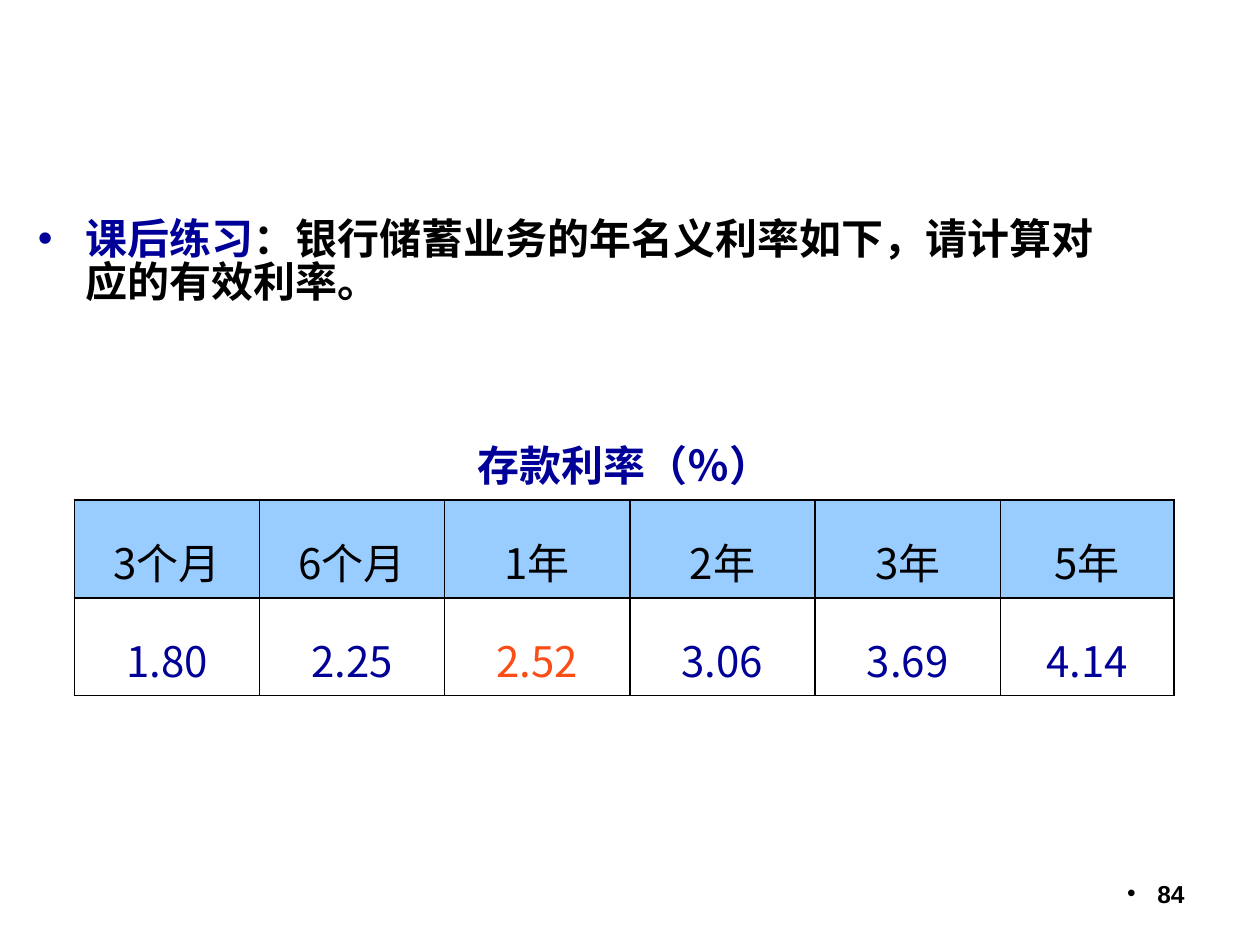
import pptx
import pptx.dml.color
import pptx.enum.text
import pptx.oxml.ns
import pptx.util
from lxml import etree

PX = 9144  # 100 px to the inch
LATIN, CHINESE = "Arial", "Noto Sans CJK SC"
NAVY, BLACK, ORANGE, SKY = "000099", "000000", "FC4D16", "99CCFF"
ALIGN = pptx.enum.text.PP_ALIGN
MIDDLE = pptx.enum.text.MSO_ANCHOR.MIDDLE


def emu(px):
    return pptx.util.Emu(px * PX)


def color(hex_text):
    return pptx.dml.color.RGBColor.from_string(hex_text)


def add_xml(parent, tag, **attributes):
    return etree.SubElement(parent, pptx.oxml.ns.qn(tag), attributes)


class SlideBuilder:
    def __init__(self, deck):
        self.slide = deck.slides.add_slide(deck.slide_layouts[1])
        title = self.slide.shapes.title
        title.element.getparent().remove(title.element)

    def add_spans(self, para, spans, size, font, bold):
        """Fill a paragraph with (text, colour) spans in one font."""
        para.font.size = pptx.util.Pt(size)
        para.font.name = font
        para.font.bold = bold
        for text, hex_text in spans:
            span = para.add_run()
            span.text = text
            span.font.color.rgb = color(hex_text)
            # East Asian text needs its own typeface
            add_xml(span.font._element, "a:ea", typeface=CHINESE)

    def hang(self, para, indent, bullet=False):
        properties = para._p.get_or_add_pPr()
        properties.set("marL", str(emu(indent)))
        properties.set("indent", str(emu(-indent)))
        if bullet:
            font = etree.Element(pptx.oxml.ns.qn("a:buFont"), typeface=LATIN)
            mark = etree.Element(pptx.oxml.ns.qn("a:buChar"), char="•")
            defaults = properties.find(pptx.oxml.ns.qn("a:defRPr"))
            defaults.addprevious(font)
            defaults.addprevious(mark)

    def body(self, left, top, width, height, spans):
        box = self.slide.placeholders[1]
        box.left, box.top, box.width, box.height = map(emu, (left, top, width, height))
        box.text_frame.auto_size = pptx.enum.text.MSO_AUTO_SIZE.NONE
        para = box.text_frame.paragraphs[0]
        para.line_spacing = 0.85
        para.space_before = pptx.util.Pt(5)
        self.add_spans(para, spans, 24, LATIN, True)
        self.hang(para, 38, bullet=True)

    def page_number(self, left, top, width, height, number):
        box = self.slide.shapes.add_textbox(*map(emu, (left, top, width, height)))
        box.text_frame.word_wrap = True
        box.text_frame.vertical_anchor = MIDDLE
        para = box.text_frame.paragraphs[0]
        para.alignment = ALIGN.RIGHT
        self.add_spans(para, [(number, BLACK)], 14, LATIN, True)
        self.hang(para, 24, bullet=True)

    def table(self, left, top, widths, row_height, rows):
        """Draw rows of (text, colour, fill, bold); the first row is one caption."""
        frame = self.slide.shapes.add_table(
            len(rows), len(widths), emu(left), emu(top),
            emu(sum(widths)), emu(row_height * len(rows)))
        table = frame.table
        table.first_row = table.horz_banding = False
        for column, width in zip(table.columns, widths):
            column.width = emu(width)
        table.cell(0, 0).merge(table.cell(0, len(widths) - 1))
        for row_index, row in enumerate(rows):
            table.rows[row_index].height = emu(row_height)
            sides = "LRTB" if row_index else "B"
            for column_index in range(len(widths)):
                cell = table.cell(row_index, column_index)
                self.borders(cell, sides)
                if column_index < len(row):
                    self.cell(cell, *row[column_index])

    def cell(self, cell, text, hex_text, fill, bold):
        cell.vertical_anchor = MIDDLE
        if fill:
            cell.fill.solid()
            cell.fill.fore_color.rgb = color(fill)
        else:
            cell.fill.background()
        para = cell.text_frame.paragraphs[0]
        para.alignment = ALIGN.CENTER
        para.line_spacing = 1.4
        self.add_spans(para, [(text, hex_text)], 24, CHINESE, bold)
        self.hang(para, 38)

    def borders(self, cell, sides):
        properties = cell._tc.get_or_add_tcPr()
        for side in sides:
            line = add_xml(properties, "a:ln" + side, w=str(pptx.util.Pt(1)))
            add_xml(add_xml(line, "a:solidFill"), "a:srgbClr", val=BLACK)


def main():
    deck = pptx.Presentation()
    deck.slide_width, deck.slide_height = emu(1000), emu(750)
    page = SlideBuilder(deck)

    # Exercise
    page.body(20, 170, 875, 71, [
        ("课后练习", NAVY),
        ("：银行储蓄业务的年名义利率如下，请计算对应的有效利率。", BLACK)])

    # Deposit rates
    rates = {"3个月": "1.80", "6个月": "2.25", "1年": "2.52",
             "2年": "3.06", "3年": "3.69", "5年": "4.14"}
    page.table(59, 319, [147] * 5 + [138], 66, [
        [("存款利率（％）", NAVY, None, True)],
        [(term, BLACK, SKY, False) for term in rates],
        [(rate, ORANGE if term == "1年" else NAVY, None, False)
         for term, rate in rates.items()]])

    # Page number
    page.page_number(717, 683, 233, 52, "84")

    deck.save("out.pptx")


if __name__ == "__main__":
    main()
